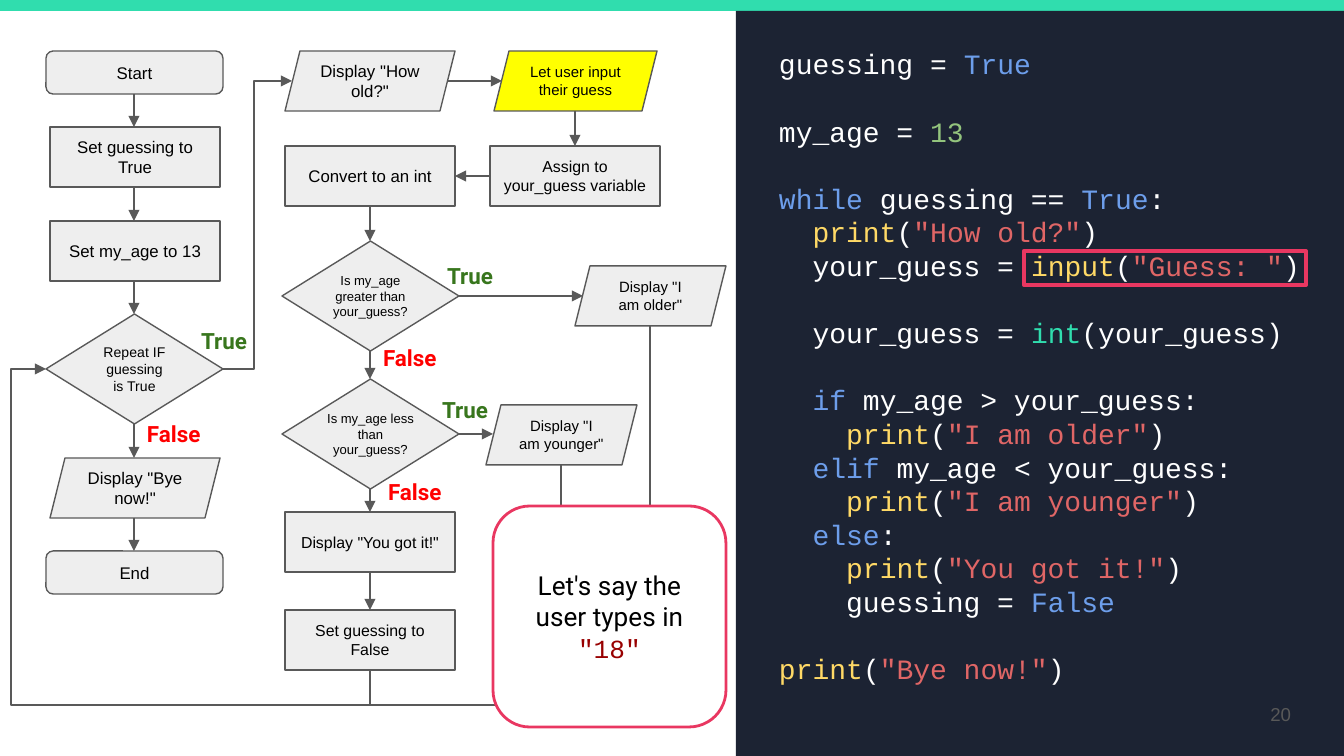
from lxml import etree
from pptx import Presentation
from pptx.dml.color import RGBColor
from pptx.enum.shapes import MSO_CONNECTOR as Connector, MSO_SHAPE as Preset
from pptx.enum.text import MSO_ANCHOR as Anchor, PP_ALIGN as Align
from pptx.oxml.ns import qn
from pptx.util import Emu, Pt

PX = 914400 / 134.4
WIDTH, HEIGHT = 1344, 756

TEAL = RGBColor(0x30, 0xDD, 0xAE)
NAVY = RGBColor(0x1C, 0x23, 0x33)
WHITE = RGBColor(0xFF, 0xFF, 0xFF)
BLACK = RGBColor(0x00, 0x00, 0x00)
GRAY = RGBColor(0x59, 0x59, 0x59)
LIGHT = RGBColor(0xEE, 0xEE, 0xEE)
YELLOW = RGBColor(0xFF, 0xFF, 0x00)
PINK = RGBColor(0xE9, 0x37, 0x61)
GREEN = RGBColor(0x38, 0x76, 0x1D)
RED = RGBColor(0xFF, 0x00, 0x00)
DARK_RED = RGBColor(0x98, 0x00, 0x00)
KEYWORD = RGBColor(0x6D, 0x9E, 0xEB)
NUMBER = RGBColor(0x93, 0xC4, 0x7D)
FUNCTION = RGBColor(0xFF, 0xD9, 0x66)
STRING = RGBColor(0xE0, 0x66, 0x66)
MONO = "Courier New"

BOX, PILL = Preset.RECTANGLE, Preset.ROUNDED_RECTANGLE
DATA, DECISION = Preset.PARALLELOGRAM, Preset.FLOWCHART_DECISION

# Flowchart steps: preset, left, top, width, height, text, size
STEPS = [
    (PILL, 46, 51, 177, 43, "Start", 9),
    (BOX, 50, 127, 170, 60, "Set guessing to True", 9),
    (BOX, 50, 221, 170, 60, "Set my_age to 13", 9),
    (DECISION, 46, 314, 177, 110, "Repeat IF guessing is True", 7.5),
    (DATA, 50, 458, 170, 60, 'Display "Bye now!"', 9),
    (PILL, 46, 551, 177, 43, "End", 9),
    (DATA, 285, 51, 170, 60, 'Display "How old?"', 9),
    (BOX, 490, 146, 170, 60, "Assign to your_guess variable", 8.5),
    (BOX, 285, 146, 170, 60, "Convert to an int", 9),
    (DECISION, 282, 241, 177, 110, "Is my_age greater than your_guess?", 7),
    (DATA, 575, 266, 151, 60, 'Display "I am older"', 8),
    (DECISION, 282, 379, 177, 110, "Is my_age less than your_guess?", 7),
    (DATA, 486, 405, 151, 60, 'Display "I am younger"', 8),
    (BOX, 285, 512, 170, 60, 'Display "You got it!"', 8.5),
    (BOX, 285, 610, 170, 60, "Set guessing to False", 8.5),
]

# Straight arrows: start x, start y, end x, end y
DOWN_ARROWS = [(134, 94, 127), (134, 187, 221), (134, 281, 314),
               (134, 424, 458), (134, 518, 551), (575, 111, 146),
               (370, 206, 241), (370, 351, 379), (370, 489, 512),
               (370, 572, 610)]
SIDE_ARROWS = [(81, 447, 502), (176, 490, 455), (296, 459, 583), (434, 459, 493)]

BRANCHES = [("True", 188, 314), ("True", 434, 249), ("True", 429, 383),
            ("False", 134, 407), ("False", 370, 331), ("False", 375, 465)]


def print_line(indent, text):
    return [(" " * indent, WHITE), ("print", FUNCTION), ("(", WHITE),
            (f'"{text}"', STRING), (")", WHITE)]


# Blocks of code, parted by an empty line's height
CODE = [
    [[("guessing = ", WHITE), ("True", KEYWORD)]],
    [[("my_age = ", WHITE), ("13", NUMBER)]],
    [[("while", KEYWORD), (" guessing == ", WHITE), ("True", KEYWORD), (":", WHITE)],
     print_line(2, "How old?"),
     [("  your_guess = ", WHITE), ("input", FUNCTION), ("(", WHITE),
      ('"Guess: "', STRING), (")", WHITE)]],
    [[("  your_guess = ", WHITE), ("int", TEAL), ("(your_guess)", WHITE)]],
    [[("  if", KEYWORD), (" my_age > your_guess:", WHITE)],
     print_line(4, "I am older"),
     [("  elif", KEYWORD), (" my_age < your_guess:", WHITE)],
     print_line(4, "I am younger"),
     [("  else", KEYWORD), (":", WHITE)],
     print_line(4, "You got it!"),
     [("    guessing = ", WHITE), ("False", KEYWORD)]],
    [print_line(0, "Bye now!")],
]


def px(*lengths):
    return [Emu(round(length * PX)) for length in lengths]


def add_runs(paragraph, runs, size, font="Arial", color=BLACK, bold=False):
    """Add runs given as (text, color, font); the last two may be left out."""
    for text, *style in runs:
        run = paragraph.add_run()
        run.text = text
        run.font.size = Pt(size)
        run.font.bold = bold
        run.font.color.rgb = style[0] if style else color
        run.font.name = style[1] if len(style) > 1 else font


def write(shape, text, align=Align.CENTER, anchor=Anchor.MIDDLE, inset=13, **style):
    """Fill a shape with one paragraph: a string or a list of runs."""
    frame = shape.text_frame
    frame.word_wrap = True
    frame.vertical_anchor = anchor
    (frame.margin_left, frame.margin_top,
     frame.margin_right, frame.margin_bottom) = px(*[inset] * 4)
    paragraph = frame.paragraphs[0]
    paragraph.alignment = align
    add_runs(paragraph, [(text,)] if isinstance(text, str) else text, **style)


def add_block(slide, preset, box, fill=None, line=None, weight=0.75):
    shape = slide.shapes.add_shape(preset, *px(*box))
    shape.shadow.inherit = False
    if fill is None:
        shape.fill.background()
    else:
        shape.fill.solid()
        shape.fill.fore_color.rgb = fill
    if line is None:
        shape.line.fill.background()
    else:
        shape.line.color.rgb = line
        shape.line.width = Pt(weight)
    return shape


def add_label(slide, box, text, **style):
    write(slide.shapes.add_textbox(*px(*box)), text, **style)


def add_line(slide, kind, points, arrow=True):
    connector = slide.shapes.add_connector(kind, *px(*points))
    connector.line.color.rgb = GRAY
    connector.line.width = Pt(0.75)
    if arrow:
        etree.SubElement(connector.line._get_or_add_ln(), qn("a:tailEnd"), type="triangle")
    etree.SubElement(connector._element.spPr, qn("a:effectLst"))
    return connector


def bend(connector, *ratios):
    """Set the elbow's preset and the places of its bends."""
    geometry = connector._element.spPr.find(qn("a:prstGeom"))
    geometry.set("prst", f"bentConnector{len(ratios) + 2}")
    guides = geometry.find(qn("a:avLst"))
    for number, ratio in enumerate(ratios, 1):
        etree.SubElement(guides, qn("a:gd"), name=f"adj{number}",
                         fmla=f"val {round(ratio * 100000)}")


def add_return(slide, start, end, level, side=None):
    """Leave start vertically, run left along level, then reach end (by side)."""
    (x1, y1), (x2, y2) = start, end
    middle_x, middle_y = (x1 + x2) / 2, (y1 + y2) / 2
    reach, drop = (x1 - x2) / 2, (y2 - y1) / 2
    connector = add_line(slide, Connector.ELBOW,
                         (middle_x - drop, middle_y - reach,
                          middle_x + drop, middle_y + reach), side is not None)
    connector._element.spPr.find(qn("a:xfrm")).set("rot", "5400000")
    ratios = [(level - y1) / (y2 - y1)]
    if side is not None:
        ratios.append((side - x1) / (x2 - x1))
    bend(connector, *ratios)


def add_flowchart(slide):
    for preset, *box, text, size in STEPS:
        step = add_block(slide, preset, box, LIGHT, GRAY)
        small_print = preset == DECISION and size == 7
        write(step, text, size=size, inset=0 if small_print else 13)
    user_input = add_block(slide, DATA, (494, 51, 163, 60), YELLOW, GRAY)
    write(user_input, "Let user input their guess", size=8)

    # Arrows between the steps
    for x, top, bottom in DOWN_ARROWS:
        add_line(slide, Connector.STRAIGHT, (x, top, x, bottom))
    for y, start, end in SIDE_ARROWS:
        add_line(slide, Connector.STRAIGHT, (start, y, end, y))
    bend(add_line(slide, Connector.ELBOW, (223, 369, 292, 81)), 0.45)

    # Way back to the loop
    add_return(slide, (370, 670), (46, 369), level=705, side=11)
    add_return(slide, (561, 465), (370, 670), level=705)
    add_return(slide, (650, 326), (370, 670), level=705)

    for text, left, top in BRANCHES:
        add_label(slide, (left, top, 97, 50), text, align=Align.LEFT, anchor=Anchor.TOP,
                  size=12, font="Roboto", color=GREEN if text == "True" else RED, bold=True)


def add_code(slide):
    frame = slide.shapes.add_textbox(*px(766, 34, 551, 652)).text_frame
    frame.word_wrap = True
    (frame.margin_left, frame.margin_top,
     frame.margin_right, frame.margin_bottom) = px(13, 13, 13, 13)
    paragraph = frame.paragraphs[0]
    for block_number, block in enumerate(CODE):
        for line_number, runs in enumerate(block):
            if block_number or line_number:
                paragraph = frame.add_paragraph()
            paragraph.line_spacing = Pt(18)
            if block_number and not line_number:
                paragraph.space_before = Pt(18)
            add_runs(paragraph, [run for run in runs if run[0]], size=15, font=MONO)


def main():
    presentation = Presentation()
    presentation.slide_width, presentation.slide_height = px(WIDTH, HEIGHT)
    slide = presentation.slides.add_slide(presentation.slide_layouts[6])

    # Top band and code panel
    add_block(slide, BOX, (0, 0, WIDTH, 11), TEAL)
    add_block(slide, BOX, (736, 11, WIDTH - 736, HEIGHT - 11), NAVY)
    add_code(slide)
    add_block(slide, BOX, (1024, 251, 282, 34), line=PINK, weight=2.25)

    add_flowchart(slide)

    # Slide number and callout
    add_label(slide, (1223, 685, 81, 58), "20", align=Align.RIGHT, size=10, color=GRAY)
    callout = add_block(slide, PILL, (493, 506, 233, 221), WHITE, PINK, 1.5)
    write(callout, [("Let's say the user types in ",), ('"18"', DARK_RED, MONO)],
          size=14, font="Roboto")
    presentation.save("out.pptx")


if __name__ == "__main__":
    main()
